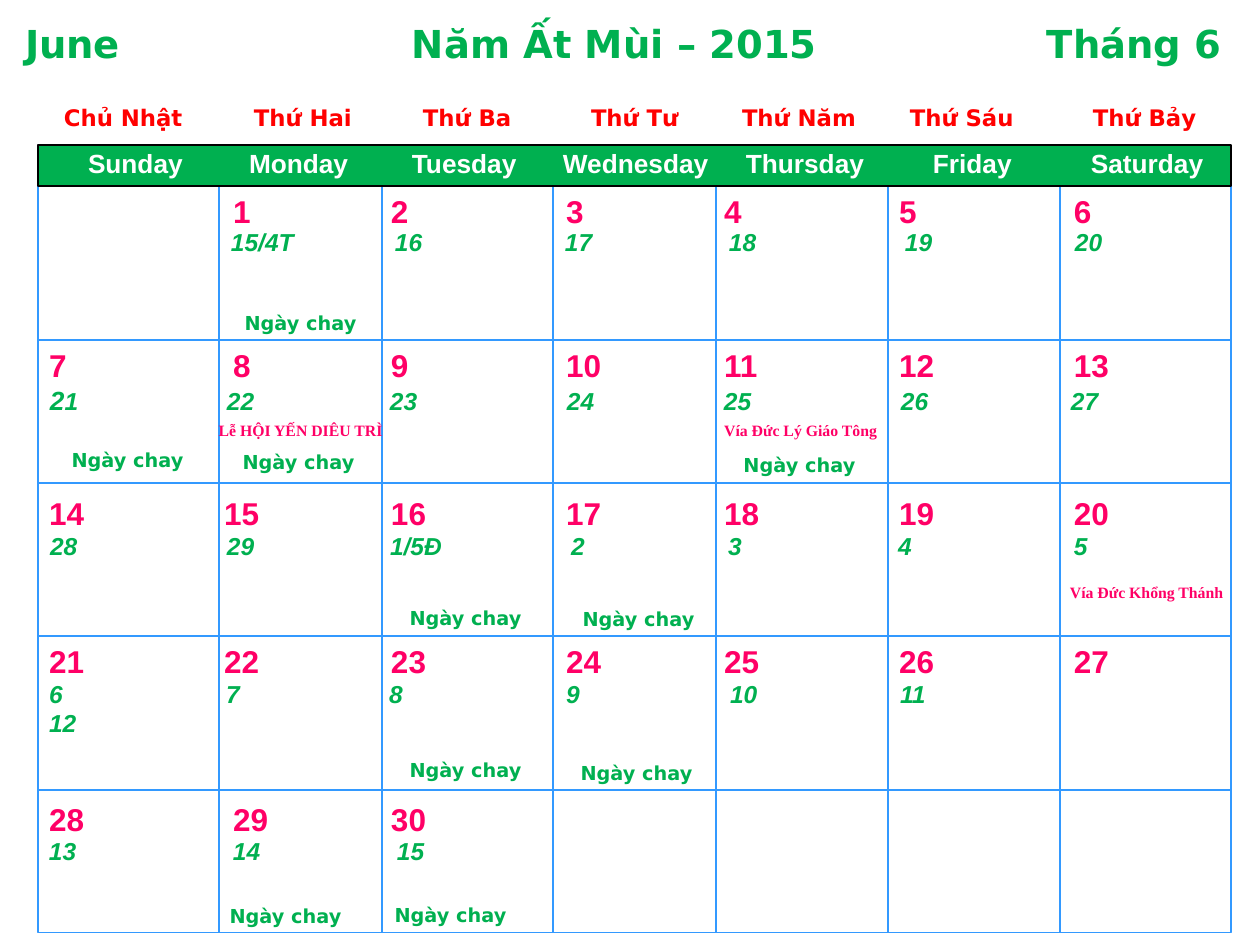
import pptx
import pptx.dml.color
import pptx.enum.shapes
import pptx.enum.text
import pptx.oxml.ns
import pptx.util
from lxml import etree

PX = 914400 // 126
INSET = 11
COLORS = {"green": "00B050", "red": "FF0000", "pink": "FF0066",
          "blue": "3399FF", "white": "FFFFFF", "black": "000000"}
LEFT, TOP, WIDTH, HEIGHT = 38, 186, 1193, 747
RIGHT, BOTTOM = LEFT + WIDTH, TOP + HEIGHT
RULES_Y = [186, 340, 483, 636, 790]
RULES_X = [219, 382, 553, 716, 888, 1060]

WEEKDAYS = [("Sunday", 77, 118), ("Monday", 238, 123), ("Tuesday", 401, 129),
            ("Wednesday", 552, 170), ("Thursday", 735, 142),
            ("Friday", 922, 103), ("Saturday", 1080, 137)]
NAMES = ["Chủ Nhật", "Thứ Hai", "Thứ Ba", "Thứ Tư",
         "Thứ Năm", "Thứ Sáu", "Thứ Bảy"]
NAMES_X = [64, 254, 423, 591, 742, 910, 1093]

# First day, last day, top, left of the Monday number
WEEKS = [(1, 6, 186, 233), (7, 13, 340, 233), (14, 20, 488, 224),
         (21, 27, 636, 224), (28, 30, 794, 233)]
DAYS_X = [391, 566, 724, 899, 1074]

# Box left, top, width, height, start of each date, dates, size of the lead
LUNAR = [
    (73, 219, 1060, 44, [231, 395, 565, 729, 905, 1075],
     ["15/4T", "16", "17", "18", "19", "20"], 15),
    (9, 378, 1124, 44, [50, 227, 390, 567, 724, 901, 1071],
     ["21", "22", "23", "24", "25", "26", "27"], 15),
    (31, 523, 1103, 44, [50, 227, 390, 571, 728, 898, 1074],
     ["28", "29", "1/5Đ", "2", "3", "4", "5"], 15),
    (38, 673, 1079, 42, [49, 226, 389, 566, 730, 900],
     ["6", "7", "8", "9", "10", "11\n12"], 14),
    (31, 830, 1060, 42, [49, 233, 397], ["13", "14", "15"], 14),
]
FASTS = [(223, 305), (50, 442), (221, 444), (722, 447), (388, 600),
         (561, 601), (388, 752), (559, 755), (208, 898), (373, 897)]
FEASTS = [("Lễ HỘI YẾN DIÊU TRÌ", 190, 415),
          ("Vía Đức Lý Giáo Tông", 690, 415),
          ("Vía Đức Khổng Thánh", 1036, 577)]


def px(*values):
    return [value * PX for value in values]


def rgb(name):
    return pptx.dml.color.RGBColor.from_string(COLORS[name])


def rule(slide, *ends):
    line = slide.shapes.add_connector(
        pptx.enum.shapes.MSO_CONNECTOR.STRAIGHT, *px(*ends))
    line.line.color.rgb = rgb("blue")
    line.line.width = pptx.util.Pt(0.75)
    etree.SubElement(line._element.spPr, pptx.oxml.ns.qn("a:effectLst"))


def block(slide, area, edge, fill=None):
    shape = slide.shapes.add_shape(
        pptx.enum.shapes.MSO_SHAPE.RECTANGLE, *px(*area))
    shape.shadow.inherit = False
    shape.line.color.rgb = rgb(edge)
    shape.line.width = pptx.util.Pt(0.75)
    if fill:
        shape.fill.solid()
        shape.fill.fore_color.rgb = rgb(fill)
    else:
        shape.fill.background()


def style(run, size, color, face, slant):
    font = run.font
    font.name, font.size = face, pptx.util.Pt(size)
    font.bold, font.italic = True, slant
    font.color.rgb = rgb(color)


def label(slide, area, text, size, color, face="Arial", slant=False,
          center=False, wrap=True):
    box = slide.shapes.add_textbox(*px(*area))
    frame = box.text_frame
    frame.margin_left = frame.margin_right = INSET * PX
    frame.margin_top = frame.margin_bottom = 6 * PX
    frame.word_wrap = wrap
    frame.auto_size = pptx.enum.text.MSO_AUTO_SIZE.SHAPE_TO_FIT_TEXT
    frame.text = text
    for para in frame.paragraphs:
        if center:
            para.alignment = pptx.enum.text.PP_ALIGN.CENTER
        for run in para.runs:
            style(run, size, color, face, slant)
    return frame


def row(slide, area, starts, words, size, color, face="Arial", slant=False):
    """Write words on one line, each at its own tab stop."""
    origin = area[0] + INSET
    lead = "\t" if starts[0] > origin + 2 else ""
    frame = label(slide, area, lead + "\t".join(words), size, color, face,
                  slant)
    para = frame.paragraphs[0]
    stops = etree.SubElement(para._p.get_or_add_pPr(),
                             pptx.oxml.ns.qn("a:tabLst"))
    for start in starts if lead else starts[1:]:
        etree.SubElement(stops, pptx.oxml.ns.qn("a:tab"),
                         pos=str((start - origin) * PX), algn="l")
    return para


def grid(slide):
    for y in RULES_Y:
        rule(slide, LEFT, y, RIGHT, y)
    for x in RULES_X:
        rule(slide, x, TOP, x, BOTTOM)
    block(slide, (LEFT, TOP, WIDTH, HEIGHT), "blue")
    block(slide, (LEFT, 145, WIDTH, 41), "black", "green")


def heads(slide):
    row(slide, (14, 14, 1246, 58), [25, 412, 1047],
        ["June", "Năm Ất Mùi – 2015", "Tháng 6"], 22, "green", "DejaVu Sans")
    row(slide, (14, 98, 1217, 39), NAMES_X, NAMES, 13, "red", "DejaVu Sans")
    for name, left, width in WEEKDAYS:
        label(slide, (left, 141, width, 44), name, 15, "white", wrap=False)


def dates(slide):
    for first, last, top, monday in WEEKS:
        days = [str(day) for day in range(first, last + 1)]
        starts = [49, monday] + DAYS_X
        if first == 1:
            starts = starts[1:]
        row(slide, (LEFT, top, 1183, 52), starts, days, 18, "pink")
    for *area, starts, words, lead in LUNAR:
        para = row(slide, area, starts, words, 14, "green", slant=True)
        if lead > 14:
            # The larger first character sets the height of the line
            run = para.runs[0]
            count = 2 if words[0] == "21" else 1
            rest = para.add_run()
            rest.text, run.text = run.text[count:], run.text[:count]
            style(run, lead, "green", "Arial", True)
            style(rest, 14, "green", "Arial", True)


def notes(slide):
    for left, top in FASTS:
        label(slide, (left, top, 155, 35), "Ngày chay", 11, "green",
              "DejaVu Sans", center=True)
    for text, left, top in FEASTS:
        label(slide, (left, top, 221, 32), text, 9, "pink",
              "Times New Roman", center=True)


def main():
    deck = pptx.Presentation()
    deck.slide_width, deck.slide_height = px(1260, 945)
    slide = deck.slides.add_slide(deck.slide_layouts[6])
    grid(slide)
    heads(slide)
    dates(slide)
    notes(slide)
    deck.save("out.pptx")


if __name__ == "__main__":
    main()
